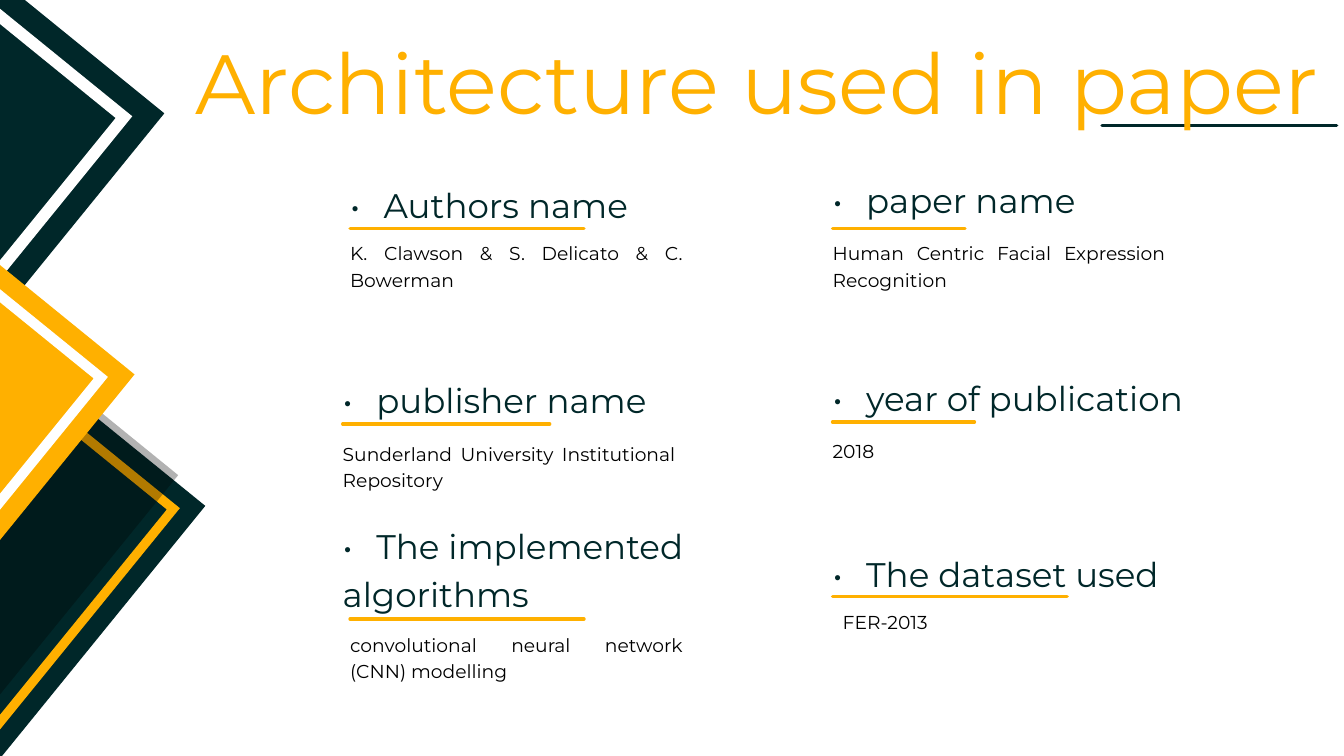
import dataclasses

import lxml.etree
import pptx
import pptx.dml.color
import pptx.enum.shapes
import pptx.enum.text
import pptx.oxml.ns
import pptx.util

Inches = pptx.util.Inches
Pt = pptx.util.Pt
ALIGN = pptx.enum.text.PP_ALIGN
qn = pptx.oxml.ns.qn


@dataclasses.dataclass(frozen=True)
class TextStyle:
    size: float
    spacing: float
    color: str
    align: ALIGN


class Theme:
    font = "Montserrat"
    dark = "002729"
    gold = "FFB000"
    white = "FFFFFF"
    black = "000000"
    rule_width = 3.75
    title = TextStyle(90, 126, gold, ALIGN.RIGHT)
    heading = TextStyle(36.5, 51.1, dark, ALIGN.LEFT)
    body = TextStyle(20, 28, black, ALIGN.JUSTIFY)


TILT = 129.1
BAND_RATIO = 0.032
LEFT, LEFT_OUT, RIGHT = 5.21, 5.1, 12.39
BODY_WIDTH = 4.95


def rgb(color):
    return pptx.dml.color.RGBColor.from_string(color)


def square_corners(left, top, side):
    right, bottom = left + side, top + side
    corners = [(left, top), (right, top), (right, bottom), (left, bottom)]
    return [(Inches(x), Inches(y)) for x, y in corners]


def add_tilted_square(slide, left, top, side, color, band=0, alpha=None):
    outer = square_corners(left, top, side)
    builder = slide.shapes.build_freeform(*outer[0], scale=1.0)
    builder.add_line_segments(outer[1:], close=True)
    if band:
        inner = square_corners(left + band, top + band, side - 2 * band)[::-1]
        builder.move_to(*inner[0])
        builder.add_line_segments(inner[1:], close=True)
    sp = builder.convert_to_shape()
    sp.rotation = TILT + 90 if band else TILT
    sp.shadow.inherit = False
    sp.fill.solid()
    sp.fill.fore_color.rgb = rgb(color)
    sp.line.fill.background()
    if alpha is not None:
        clr = sp.element.spPr.find(qn("a:solidFill")).find(qn("a:srgbClr"))
        lxml.etree.SubElement(clr, qn("a:alpha")).set("val", str(alpha * 1000))


def add_frame(slide, left, top, side, color):
    add_tilted_square(slide, left, top, side, color, band=side * BAND_RATIO)


def add_rule(slide, left, top, width, color):
    line = slide.shapes.add_connector(
        pptx.enum.shapes.MSO_CONNECTOR.STRAIGHT,
        Inches(left), Inches(top), Inches(left + width), Inches(top))
    line.line.color.rgb = rgb(color)
    line.line.width = Pt(Theme.rule_width)
    spPr = line.element.spPr
    spPr.find(qn("a:ln")).set("cap", "rnd")
    lxml.etree.SubElement(spPr, qn("a:effectLst"))


def fill_text(sp, text, style, indent=0):
    tf = sp.text_frame
    tf.margin_left = tf.margin_top = tf.margin_right = tf.margin_bottom = 0
    tf.word_wrap = True
    tf.auto_size = pptx.enum.text.MSO_AUTO_SIZE.SHAPE_TO_FIT_TEXT
    tf.vertical_anchor = pptx.enum.text.MSO_ANCHOR.TOP
    tf.text = text
    p = tf.paragraphs[0]
    p.alignment = style.align
    p.line_spacing = Pt(style.spacing)
    p.font.name = Theme.font
    p.font.size = Pt(style.size)
    p.font.color.rgb = rgb(style.color)
    if indent:
        p._p.get_or_add_pPr().set("marL", str(Inches(indent)))


def add_text(slide, left, top, width, height, text, style, indent=0):
    sp = slide.shapes.add_textbox(
        Inches(left), Inches(top), Inches(width), Inches(height))
    fill_text(sp, text, style, indent)


def set_title(slide, text):
    sp = slide.shapes.title
    sp.left, sp.top = Inches(2.68), Inches(0.2)
    sp.width, sp.height = Inches(16.93), Inches(1.68)
    fill_text(sp, text, Theme.title)
    sp.element.getparent().append(sp.element)


def add_entry(slide, heading, heading_box, rule, body, body_box, indent=0):
    add_rule(slide, *rule, Theme.gold)
    add_text(slide, *heading_box, "•\t" + heading, Theme.heading)
    left, top, height = body_box
    add_text(slide, left, top, BODY_WIDTH, height, body, Theme.body, indent)


def add_decoration(slide):
    add_tilted_square(slide, -4.98, -0.95, 6.17, Theme.dark)
    add_frame(slide, -4.65, -0.62, 5.5, Theme.white)
    add_tilted_square(slide, -2.77, 5.46, 4.84, Theme.dark)
    add_frame(slide, -2.51, 5.72, 4.31, Theme.gold)
    add_tilted_square(slide, -3.63, 4.84, 5.22, Theme.black, alpha=30)
    add_tilted_square(slide, -4.34, 3.32, 5.27, Theme.gold)
    add_frame(slide, -4.05, 3.6, 4.7, Theme.white)


def main():
    prs = pptx.Presentation()
    prs.slide_width, prs.slide_height = Inches(20), Inches(11.25)
    slide = prs.slides.add_slide(prs.slide_layouts[5])

    add_decoration(slide)
    add_rule(slide, 16.4, 1.87, 3.49, Theme.dark)
    set_title(slide, "Architecture used in paper")

    add_entry(slide, "Authors name", (LEFT, 2.65, 5.54, 0.68),
              (LEFT, 3.4, 3.48),
              "K. Clawson & S. Delicato & C. Bowerman", (LEFT, 3.55, 0.76))
    add_entry(slide, "paper name", (RIGHT, 2.57, 5.15, 0.67),
              (RIGHT, 3.4, 1.97),
              "Human Centric Facial Expression Recognition",
              (RIGHT, 3.55, 0.76))
    add_entry(slide, "publisher name", (LEFT_OUT, 5.55, 5.54, 0.67),
              (LEFT_OUT, 6.31, 3.08),
              "Sunderland University Institutional Repository",
              (LEFT_OUT, 6.53, 0.76))
    add_entry(slide, "year of publication", (RIGHT, 5.51, 7.5, 0.66),
              (RIGHT, 6.28, 2.11), "2018", (RIGHT, 6.49, 0.37))
    add_entry(slide, "The implemented algorithms",
              (LEFT_OUT, 7.72, 7.18, 1.39), (LEFT, 9.21, 3.48),
              "convolutional neural network (CNN) modelling",
              (LEFT, 9.37, 0.76))
    add_entry(slide, "The dataset used", (RIGHT, 8.14, 5.54, 0.68),
              (RIGHT, 8.88, 3.49), "FER-2013", (RIGHT, 9.04, 0.37),
              indent=0.15)

    prs.save("out.pptx")


if __name__ == "__main__":
    main()
